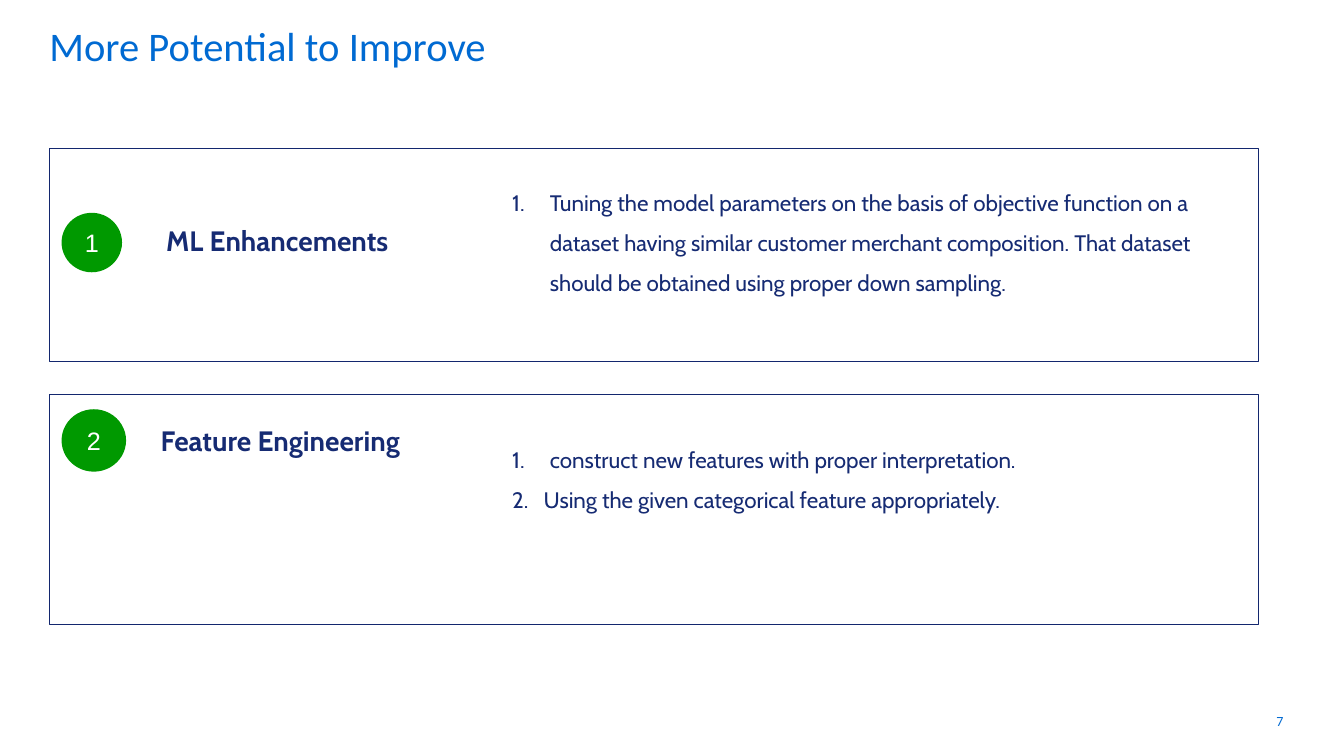
from lxml import etree
from pptx import Presentation
from pptx.dml.color import RGBColor
from pptx.enum.shapes import MSO_SHAPE as SHAPE
from pptx.enum.text import MSO_ANCHOR as ANCHOR, PP_ALIGN as ALIGN
from pptx.oxml.ns import qn
from pptx.util import Pt

BLUE = RGBColor(0x00, 0x6A, 0xD2)
NAVY = RGBColor(0x16, 0x2B, 0x73)
FRAME = RGBColor(0x13, 0x27, 0x6E)
GREEN = RGBColor(0x00, 0x99, 0x00)
WHITE = RGBColor(0xFF, 0xFF, 0xFF)


class Deck:
    """Holds the style and the current slide; boxes are (left, top, width, height) in points."""
    title_font, body_font, badge_font = "Calibri", "Cabin", "Arial"

    def __init__(self, prs):
        self.s = prs.slides.add_slide(prs.slide_layouts[6])

    def style(self, p, font, size, color, bold=False, align=ALIGN.LEFT):
        p.alignment = align
        for r in p.runs:
            r.font.name, r.font.size, r.font.bold = font, Pt(size), bold
            r.font.color.rgb = color

    def text(self, box, text, font, size, color, bold=False, align=ALIGN.LEFT,
             inset=True, anchor=ANCHOR.TOP, spacing=1.0):
        tf = self.s.shapes.add_textbox(*map(Pt, box)).text_frame
        tf.word_wrap = True
        tf.vertical_anchor = anchor
        if not inset:
            tf.margin_left = tf.margin_top = tf.margin_right = tf.margin_bottom = 0
        tf.text = text
        for p in tf.paragraphs:
            p.line_spacing = spacing
            self.style(p, font, size, color, bold, align)
        return tf

    def numbered(self, box, items):
        """Items are (text, hanging indent in points)."""
        tf = self.text(box, "\n".join(t for t, _ in items), self.body_font, 16, NAVY,
                       inset=False, spacing=1.5)
        for p, (_, indent) in zip(tf.paragraphs, items):
            pPr = p._p.get_or_add_pPr()
            pPr.set("marL", str(Pt(indent)))
            pPr.set("indent", str(-Pt(indent)))
            etree.SubElement(pPr, qn("a:buFont")).set("typeface", "+mj-lt")
            etree.SubElement(pPr, qn("a:buAutoNum")).set("type", "arabicPeriod")

    def frame(self, box):
        sp = self.s.shapes.add_shape(SHAPE.RECTANGLE, *map(Pt, box))
        sp.shadow.inherit = False
        sp.fill.background()
        sp.line.color.rgb, sp.line.width = FRAME, Pt(0.75)

    def badge(self, box, number):
        sp = self.s.shapes.add_shape(SHAPE.OVAL, *map(Pt, box))
        sp.shadow.inherit = False
        sp.fill.solid()
        sp.fill.fore_color.rgb = GREEN
        sp.line.fill.background()
        tf = sp.text_frame
        tf.vertical_anchor = ANCHOR.MIDDLE
        tf.text = str(number)
        self.style(tf.paragraphs[0], self.badge_font, 18, WHITE, align=ALIGN.CENTER)


prs = Presentation()
prs.slide_width, prs.slide_height = Pt(960), Pt(540)
deck = Deck(prs)

# Title and slide number
deck.text((35.3, 20.9, 864, 31.7), "More Potential to Improve", deck.title_font, 29, BLUE,
          inset=False, spacing=0.82)
deck.text((841, 503.3, 82.8, 23.8), "7", deck.title_font, 10, BLUE,
          align=ALIGN.RIGHT, anchor=ANCHOR.MIDDLE)

# Panels: frame top and height, badge box, heading and its box, list top and height, items
panels = [
    (105.8, 152.6, (44, 152, 43.2, 42.5),
     "ML Enhancements", (111.6, 156.2, 270, 31.7), ALIGN.LEFT, 125.3, 113,
     [("Tuning the model parameters on the basis of objective function on a dataset having "
       "similar customer merchant composition. That dataset should be obtained using "
       "proper down sampling.", 27)]),
    (281.5, 164.9, (44, 292.3, 46.1, 44.6),
     "Feature Engineering", (45.4, 298.8, 309.6, 31.7), ALIGN.CENTER, 308.9, 54.7,
     [("construct new features with proper interpretation.", 27),
      ("Using the given categorical feature appropriately.", 22.5)]),
]
for n, (top, height, badge, heading, head_box, align, list_top, list_h, items) in enumerate(panels, 1):
    deck.frame((35.3, top, 864, height))
    deck.badge(badge, n)
    deck.text(head_box, heading, deck.body_font, 20, NAVY, bold=True, align=align)
    deck.numbered((365.8, list_top, 519.8, list_h), items)

prs.save("out.pptx")
